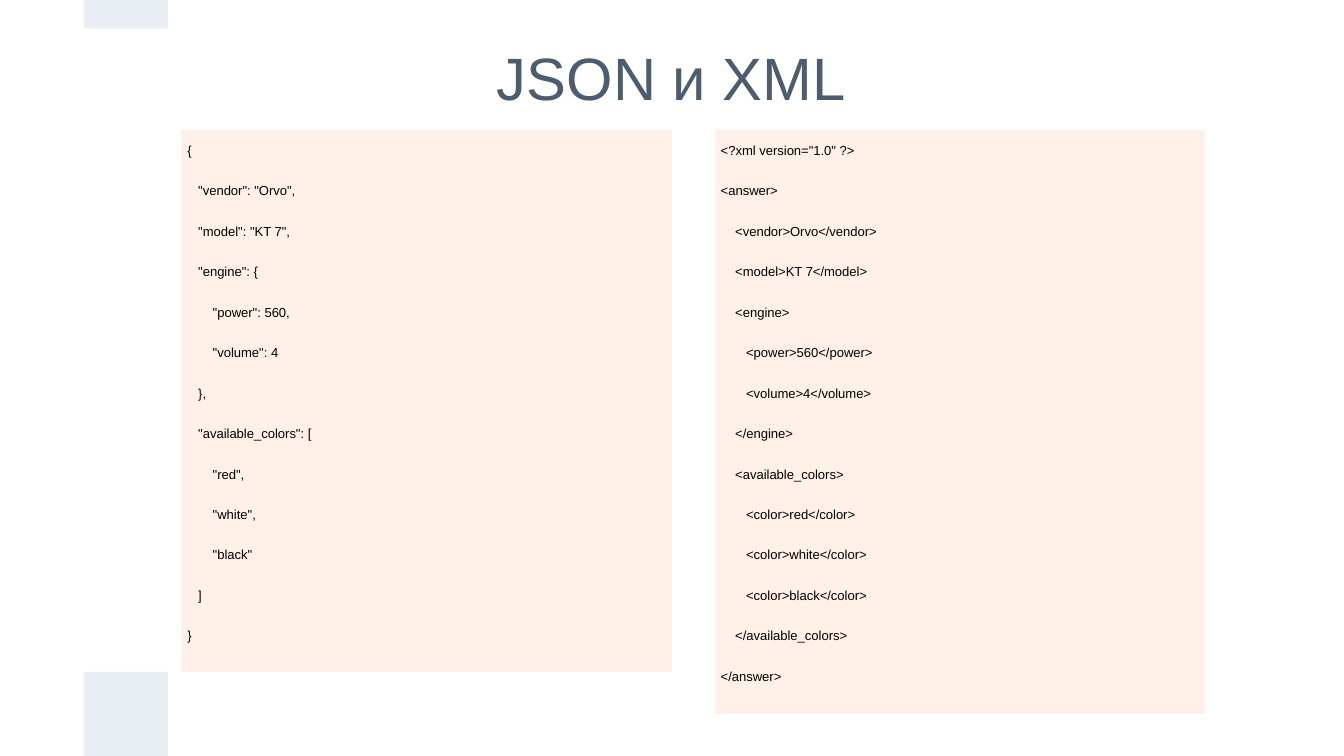
import pptx
import pptx.dml.color
import pptx.enum.shapes
import pptx.enum.text
import pptx.oxml
import pptx.oxml.ns
import pptx.util

COLORS = {"title": "4C5D6E", "accent": "E9EDF4", "code": "000000",
          "panel": "FFF1E8", "border": "FFFFFF"}
CELL = 0.625  # grid of 16 columns by 9 rows, in inches
SPACE = 0.027  # width of one leading space in the code, in inches

# Each code line: (leading spaces, text)
JSON_LINES = [
    (0, '{'), (3, '"vendor": "Orvo",'), (3, '"model": "KT 7",'),
    (3, '"engine": {'), (7, '"power": 560,'), (7, '"volume": 4'), (3, '},'),
    (3, '"available_colors": ['), (7, '"red",'), (7, '"white",'),
    (7, '"black"'), (3, ']'), (0, '}'),
]
XML_LINES = [
    (0, '<?xml version="1.0" ?>'), (0, '<answer>'),
    (4, '<vendor>Orvo</vendor>'), (4, '<model>KT 7</model>'),
    (4, '<engine>'), (7, '<power>560</power>'), (7, '<volume>4</volume>'),
    (4, '</engine>'), (4, '<available_colors>'), (7, '<color>red</color>'),
    (7, '<color>white</color>'), (7, '<color>black</color>'),
    (4, '</available_colors>'), (0, '</answer>'),
]


def rgb(name):
    return pptx.dml.color.RGBColor.from_string(COLORS[name])


def grid(*units):
    return [pptx.util.Inches(unit * CELL) for unit in units]


def write(paragraph, text, size, color, font="Arial", align=None,
          line_spacing=None, before=0, indent=0):
    run = paragraph.add_run()
    run.text = text
    run.font.name = font
    run.font.size = pptx.util.Pt(size)
    run.font.bold = False
    run.font.color.rgb = rgb(color)
    paragraph.alignment = align
    paragraph.line_spacing = line_spacing
    paragraph.space_before = pptx.util.Pt(before)
    if indent:
        properties = paragraph._p.get_or_add_pPr()
        properties.set("marL", str(pptx.util.Inches(indent)))
        properties.set("indent", "0")


class CodeSlide:
    def __init__(self, deck):
        self.slide = deck.slides.add_slide(deck.slide_layouts[6])
        self.code_style = {"size": 7, "color": "code", "line_spacing": 1.5}

    def title(self, text, *place):
        frame = self.slide.shapes.add_textbox(*grid(*place)).text_frame
        frame.word_wrap = True
        frame.vertical_anchor = pptx.enum.text.MSO_ANCHOR.MIDDLE
        write(frame.paragraphs[0], text, 32, "title",
              align=pptx.enum.text.PP_ALIGN.CENTER)

    def block(self, *place):
        block = self.slide.shapes.add_shape(
            pptx.enum.shapes.MSO_SHAPE.RECTANGLE, *grid(*place))
        block.shadow.inherit = False
        block.fill.solid()
        block.fill.fore_color.rgb = rgb("accent")
        block.line.fill.background()

    def code_panel(self, lines, *place):
        table = self.slide.shapes.add_table(1, 1, *grid(*place)).table
        table.first_row = table.horz_banding = False
        panel = table.cell(0, 0)
        panel.margin_left = panel.margin_right = pptx.util.Inches(0.05)
        panel.margin_top = panel.margin_bottom = pptx.util.Inches(0.05)

        # Borders go before the fill in the cell properties
        for side in ("lnL", "lnR", "lnT", "lnB"):
            panel._tc.get_or_add_tcPr().append(pptx.oxml.parse_xml(
                f'<a:{side} {pptx.oxml.ns.nsdecls("a")} w="12700"><a:solidFill>'
                f'<a:srgbClr val="{COLORS["border"]}"/></a:solidFill></a:{side}>'))
        panel.fill.solid()
        panel.fill.fore_color.rgb = rgb("panel")

        frame = panel.text_frame
        for number, (spaces, text) in enumerate(lines):
            paragraph = frame.add_paragraph() if number else frame.paragraphs[0]
            write(paragraph, text, before=10 if number else 0,
                  indent=spaces * SPACE, **self.code_style)


def main():
    deck = pptx.Presentation()
    deck.slide_width, deck.slide_height = grid(16, 9)
    page = CodeSlide(deck)

    # Heading and the accent blocks at the left
    page.title("JSON и XML", 0.06, 0.48, 15.87, 0.86)
    page.block(1, 8, 1, 1)
    page.block(1, 0, 1, 0.34)

    # The same answer in both formats
    for left, lines in ((2.15, JSON_LINES), (8.5, XML_LINES)):
        page.code_panel(lines, left, 1.54, 5.86, 5.98)

    deck.save("out.pptx")


if __name__ == "__main__":
    main()
